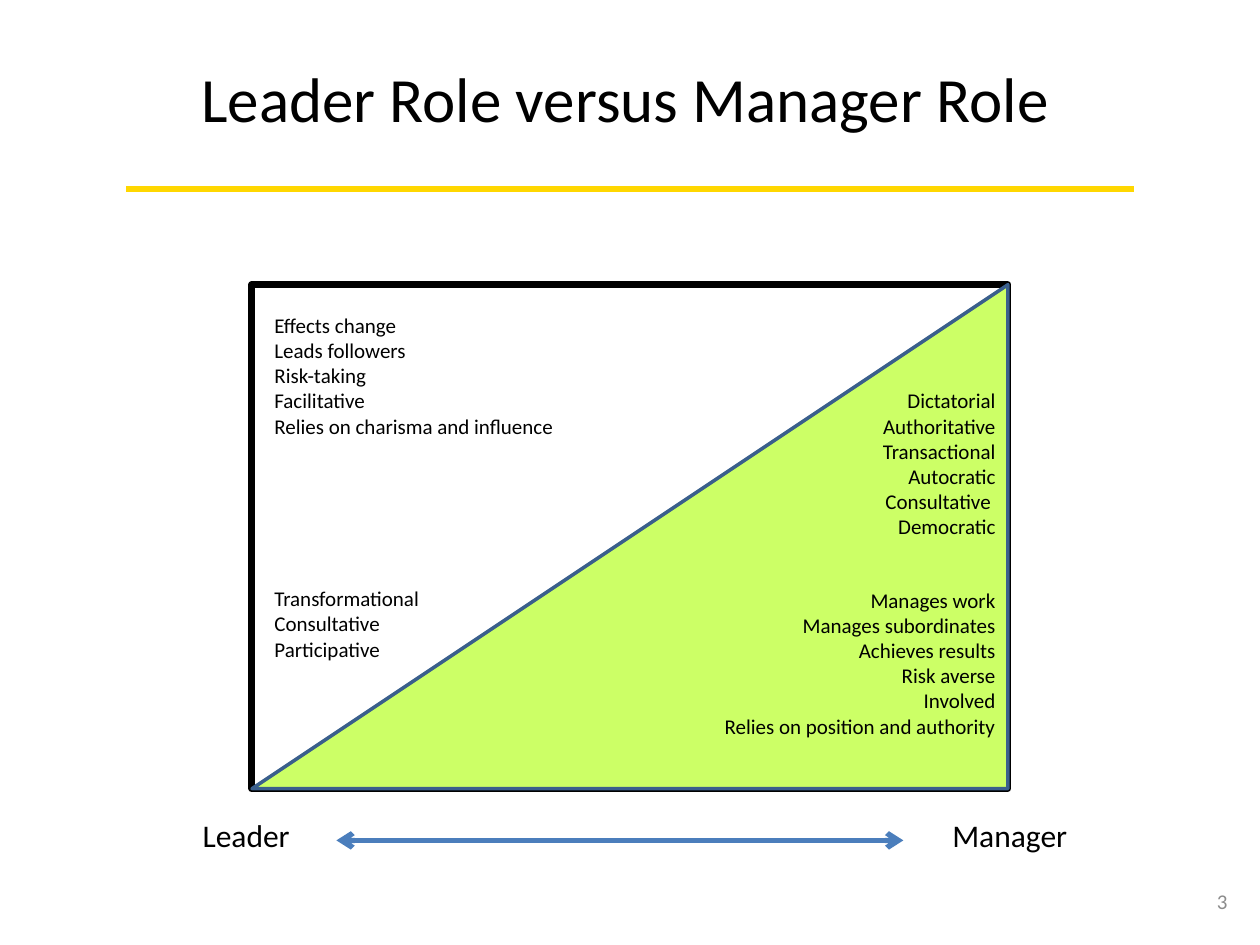
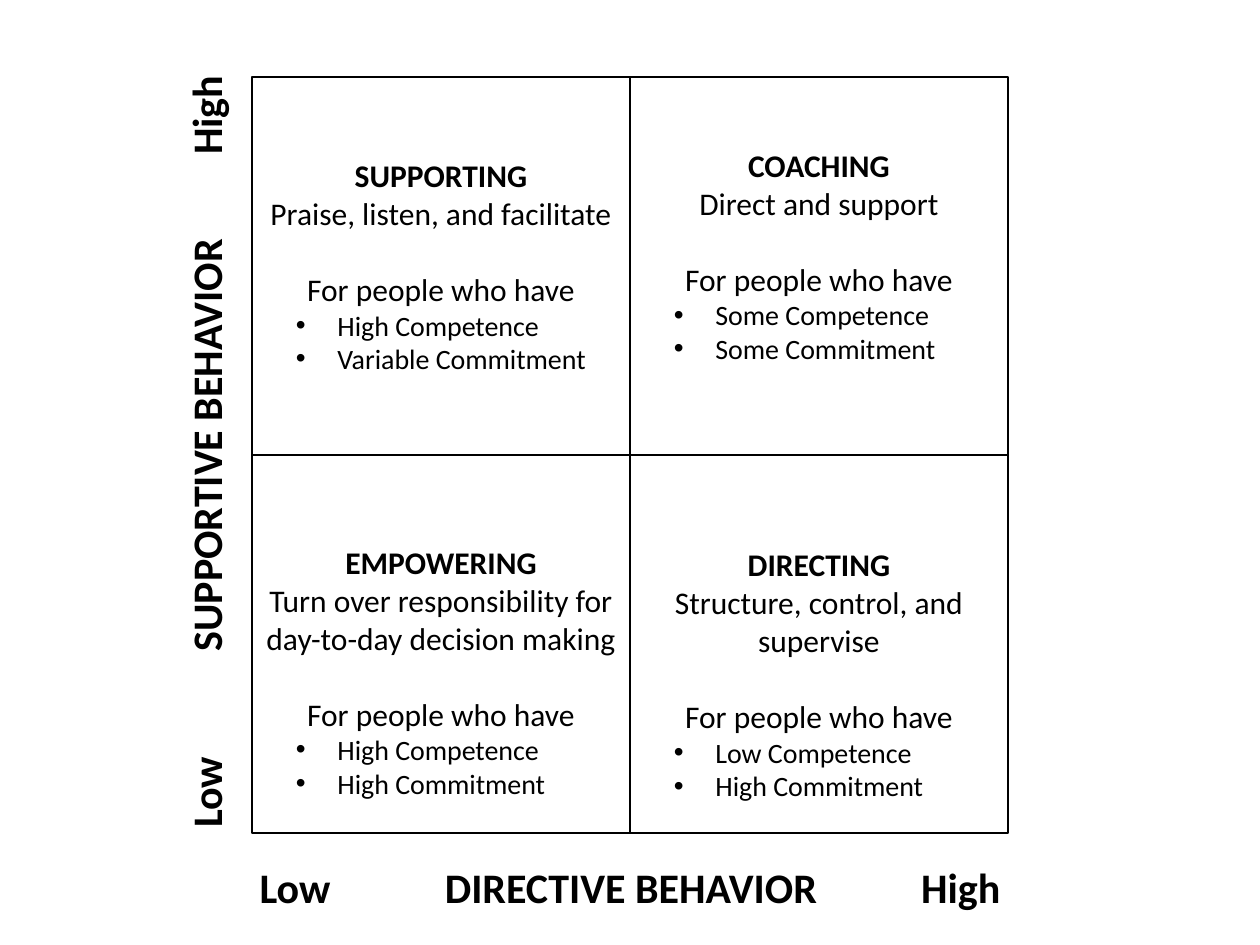
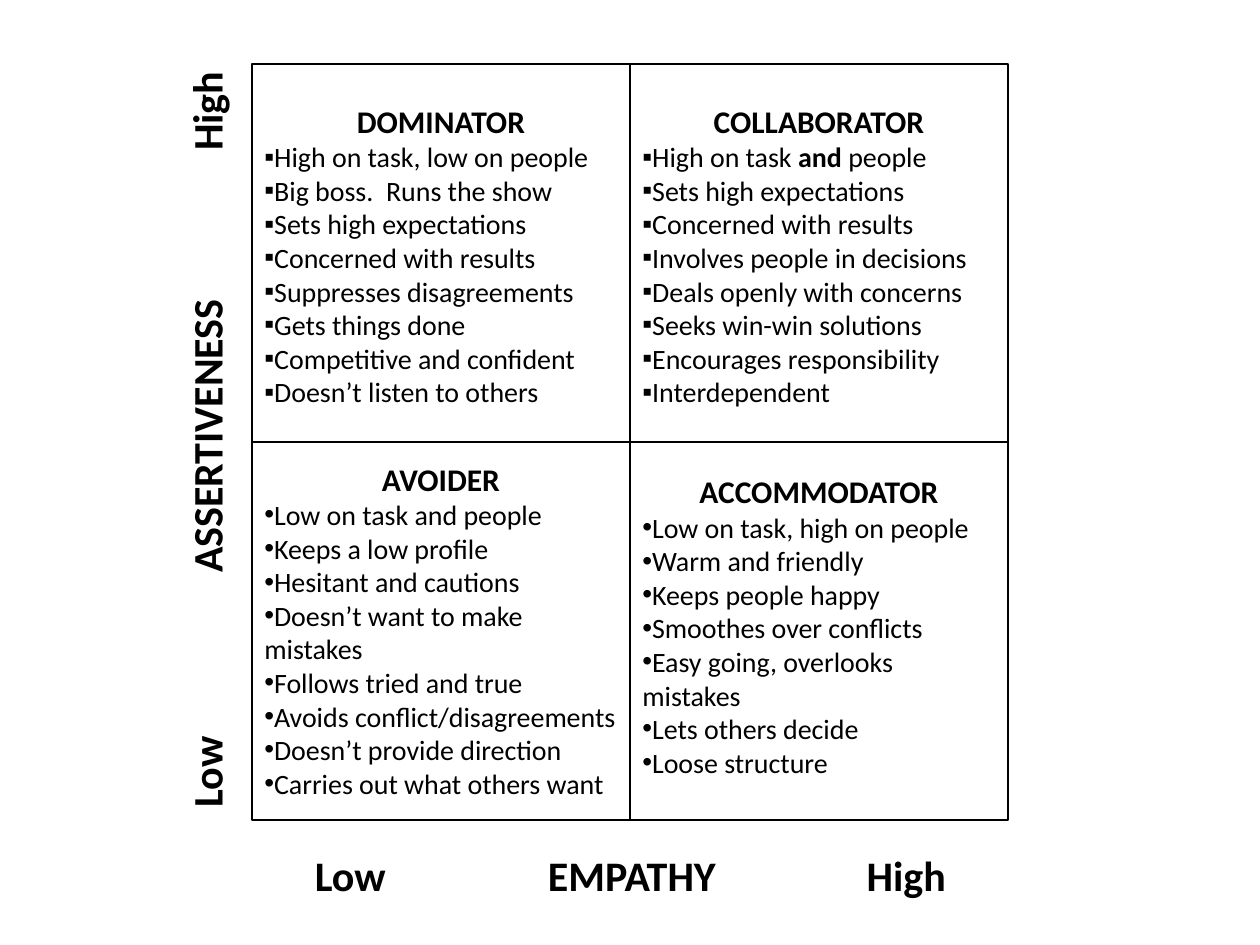
from lxml import etree
from pptx import Presentation
from pptx.dml.color import RGBColor
from pptx.enum.shapes import MSO_CONNECTOR, MSO_SHAPE
from pptx.enum.text import MSO_ANCHOR, MSO_AUTO_SIZE, PP_ALIGN
from pptx.oxml.ns import qn
from pptx.util import Inches, Pt

LEFT, CENTER, RIGHT = PP_ALIGN.LEFT, PP_ALIGN.CENTER, PP_ALIGN.RIGHT
MIDDLE, TOP = MSO_ANCHOR.MIDDLE, MSO_ANCHOR.TOP
FIT_TEXT = MSO_AUTO_SIZE.SHAPE_TO_FIT_TEXT
RECTANGLE, TRIANGLE = MSO_SHAPE.RECTANGLE, MSO_SHAPE.ISOSCELES_TRIANGLE
STRAIGHT = MSO_CONNECTOR.STRAIGHT

COLUMNS, ROWS = 10, 7.5
FONT = "Calibri"
BLACK, GRAY, GOLD = "000000", "8C8C8C", "FFD700"
LIME, NAVY, BLUE = "CCFF66", "3A5F8C", "4B7EBC"
TITLE_SIZE, AXIS_SIZE, HEAD_SIZE, BULLET_SIZE, SMALL_SIZE = 36, 24, 18, 16, 12
MATRIX_LEFT, MATRIX_SIDE = 2, 6


def color(value):
    return RGBColor.from_string(value)


class Deck:
    """Holds the style and the slide being drawn; lengths are grid columns and rows."""

    def __init__(self):
        self.deck = Presentation()
        self.deck.slide_width, self.deck.slide_height = Inches(10), Inches(7.5)
        self.column = self.deck.slide_width / COLUMNS
        self.row = self.deck.slide_height / ROWS

    def new_slide(self):
        self.slide = self.deck.slides.add_slide(self.deck.slide_layouts[6])

    def place(self, *numbers):
        """Turn alternating column and row counts into lengths."""
        return [round(number * (self.row if index % 2 else self.column))
                for index, number in enumerate(numbers)]

    def style(self, paragraph, size, align=LEFT, bold=False, ink=BLACK):
        paragraph.alignment = align
        for span in paragraph.runs:
            span.font.name, span.font.size = FONT, Pt(size)
            span.font.bold = bold
            span.font.color.rgb = color(ink)

    def set_lines(self, frame, lines, size, align=LEFT, **look):
        frame.text = "\n".join(lines)
        for paragraph in frame.paragraphs:
            self.style(paragraph, size, align, **look)

    def box(self, at, wrap=False, anchor=TOP):
        box = self.slide.shapes.add_textbox(*self.place(*at))
        box.text_frame.word_wrap = wrap
        box.text_frame.vertical_anchor = anchor
        if not wrap:
            box.text_frame.auto_size = FIT_TEXT
        return box

    def label(self, at, lines, size, align=LEFT, **look):
        self.set_lines(self.box(at).text_frame, lines, size, align, **look)

    def page_number(self, number):
        frame = self.box((9.42, 6.95, 0.42, 0.4), True, MIDDLE).text_frame
        self.set_lines(frame, [number], SMALL_SIZE, RIGHT, ink=GRAY)

    def shape(self, kind, at, line, width, fill=None):
        shape = self.slide.shapes.add_shape(kind, *self.place(*at))
        shape.shadow.inherit = False
        if fill:
            shape.fill.solid()
            shape.fill.fore_color.rgb = color(fill)
        else:
            shape.fill.background()
        shape.line.color.rgb, shape.line.width = color(line), Pt(width)
        return shape

    def line(self, ends, ink, width, arrows=False):
        line = self.slide.shapes.add_connector(STRAIGHT, *self.place(*ends))
        line.line.color.rgb, line.line.width = color(ink), Pt(width)
        properties = line._element.spPr
        etree.SubElement(properties, qn("a:effectLst"))
        if arrows:
            outline = properties.find(qn("a:ln"))
            for end in ("a:headEnd", "a:tailEnd"):
                etree.SubElement(outline, qn(end), type="arrow")

    def bullet(self, paragraph, mark, margin, indent):
        properties = paragraph._p.get_or_add_pPr()
        properties.set("marL", str(Inches(margin)))
        properties.set("indent", str(Inches(indent)))
        etree.SubElement(properties, qn("a:buFont"), typeface="Arial")
        etree.SubElement(properties, qn("a:buChar"), char=mark)

    def quadrant(self, at, heading, bullets, mark="•", intro=(), margin=0, indent=0):
        """Bold heading, optional centred intro, then bullets; *word* is bold."""
        frame = self.box(at, wrap=True).text_frame
        self.set_lines(frame, [heading, *intro], HEAD_SIZE, CENTER)
        frame.paragraphs[0].runs[0].font.bold = True
        if intro:
            frame.paragraphs[-1].space_before = Pt(22)
        for text in bullets:
            para = frame.add_paragraph()
            parts = text.split("*")
            for part in parts:
                para.add_run().text = part
            self.style(para, BULLET_SIZE)
            for span in para.runs[1::2]:
                span.font.bold = True
            self.bullet(para, mark, margin, indent)

    def axis(self, at, words, stops, inset, rotation=0):
        """Low, name and High of one axis, set apart by tab stops."""
        box = self.box(at, wrap=True)
        box.rotation = rotation
        box.text_frame.margin_left = Inches(inset)
        self.set_lines(box.text_frame, ["\t".join(words)], AXIS_SIZE, bold=True)
        properties = box.text_frame.paragraphs[0]._p.get_or_add_pPr()
        tabs = etree.SubElement(properties, qn("a:tabLst"))
        for stop in stops:
            etree.SubElement(tabs, qn("a:tab"), pos=str(Inches(stop)), algn="l")

    def matrix(self, top):
        """Square frame split into four quadrants."""
        right, bottom = MATRIX_LEFT + MATRIX_SIDE, top + MATRIX_SIDE
        middle, center = MATRIX_LEFT + MATRIX_SIDE / 2, top + MATRIX_SIDE / 2
        self.shape(RECTANGLE, (MATRIX_LEFT, top, MATRIX_SIDE, MATRIX_SIDE), BLACK, 1)
        self.line((middle, top, middle, bottom), BLACK, 1)
        self.line((MATRIX_LEFT, center, right, center), BLACK, 1)


def roles_slide(deck):
    deck.new_slide()
    deck.line((1, 1.5, 9, 1.5), GOLD, 4)
    deck.page_number("3")
    deck.label((1.5, 0.42, 6.99, 0.71), ["Leader Role versus Manager Role"], TITLE_SIZE)

    # Frame with the manager's half filled
    frame = (2, 2.26, 6, 4)
    deck.shape(RECTANGLE, frame, BLACK, 4)
    half = deck.shape(TRIANGLE, frame, NAVY, 2, LIME)
    half.adjustments[0] = 1.0
    half.text_frame.vertical_anchor = MIDDLE
    deck.set_lines(half.text_frame, [
        "Manages work", "Manages subordinates", "Achieves results", "Risk averse",
        "Involved", "Relies on position and authority"], SMALL_SIZE, RIGHT)

    # Ends of the scale
    deck.label((1.51, 6.43, 0.9, 0.4), ["Leader"], HEAD_SIZE)
    deck.label((7.46, 6.43, 1.12, 0.4), ["Manager"], HEAD_SIZE)

    # Traits and styles
    deck.label((2.08, 2.43, 2.44, 1.11), [
        "Effects change", "Leads followers", "Risk-taking", "Facilitative",
        "Relies on charisma and influence"], SMALL_SIZE)
    deck.label((2.08, 4.6, 1.36, 0.71),
               ["Transformational", "Consultative", "Participative"], SMALL_SIZE)
    deck.label((6.85, 3.03, 1.15, 1.31), [
        "Dictatorial", "Authoritative", "Transactional", "Autocratic",
        "Consultative ", "Democratic"], SMALL_SIZE, RIGHT)
    deck.line((2.67, 6.67, 7.17, 6.67), BLUE, 3, arrows=True)


def situational_slide(deck):
    deck.new_slide()
    deck.matrix(0.61)
    quadrants = [
        ((2, 1.19, 3, 1.85), "SUPPORTING", "Praise, listen, and facilitate",
         ["High Competence", "Variable Commitment"]),
        ((2, 4.26, 3, 2.15), "EMPOWERING",
         "Turn over responsibility for day-to-day decision making",
         ["High Competence", "High Commitment"]),
        ((5, 1.11, 3, 1.85), "COACHING", "Direct and support",
         ["Some Competence", "Some Commitment"]),
        ((5, 4.28, 3, 2.15), "DIRECTING", "Structure, control, and supervise",
         ["Low Competence", "High Commitment"]),
    ]
    for at, heading, action, needs in quadrants:
        deck.quadrant(at, heading, needs, intro=(action, "For people who have"),
                      margin=0.58, indent=-0.33)
    deck.axis((1.89, 6.79, 6.28, 0.5), ("Low", "DIRECTIVE BEHAVIOR", "High"),
              (1.47, 5.25), 0.17)
    deck.axis((-1.52, 3.31, 6.3, 0.5), ("Low", "SUPPORTIVE BEHAVIOR", "High"),
              (1.4, 5.34), 0.14, 270)


def conflict_slide(deck):
    deck.new_slide()
    deck.matrix(0.51)
    quadrants = [
        ((2, 0.76, 3, 2.56), "DOMINATOR", "▪", [
            "High on task, low on people", "Big boss.  Runs the show",
            "Sets high expectations", "Concerned with results",
            "Suppresses disagreements", "Gets things done",
            "Competitive and confident", "Doesn’t listen to others"]),
        ((2, 3.6, 3, 2.83), "AVOIDER", "•", [
            "Low on task and people", "Keeps a low profile",
            "Hesitant and cautions", "Doesn’t want to make mistakes",
            "Follows tried and true", "Avoids conflict/disagreements",
            "Doesn’t provide direction", "Carries out what others want"]),
        ((5, 0.76, 3, 2.56), "COLLABORATOR", "▪", [
            "High on task *and* people", "Sets high expectations",
            "Concerned with results", "Involves people in decisions",
            "Deals openly with concerns", "Seeks win-win solutions",
            "Encourages responsibility", "Interdependent"]),
        ((5, 3.7, 3, 2.56), "ACCOMMODATOR", "•", [
            "Low on task, high on people", "Warm and friendly",
            "Keeps people happy", "Smoothes over conflicts",
            "Easy going, overlooks mistakes", "Lets others decide",
            "Loose structure"]),
    ]
    for at, heading, mark, traits in quadrants:
        deck.quadrant(at, heading, traits, mark)
    deck.axis((2.4, 6.69, 5.24, 0.5), ("Low", "EMPATHY", "High"), (1.85, 4.38), 0.1)
    deck.axis((-1.41, 3.21, 6.09, 0.5), ("Low", "ASSERTIVENESS", "High"),
              (1.86, 5.21), 0.1, 270)


def main():
    deck = Deck()
    roles_slide(deck)
    situational_slide(deck)
    conflict_slide(deck)
    deck.deck.save("out.pptx")


if __name__ == "__main__":
    main()
